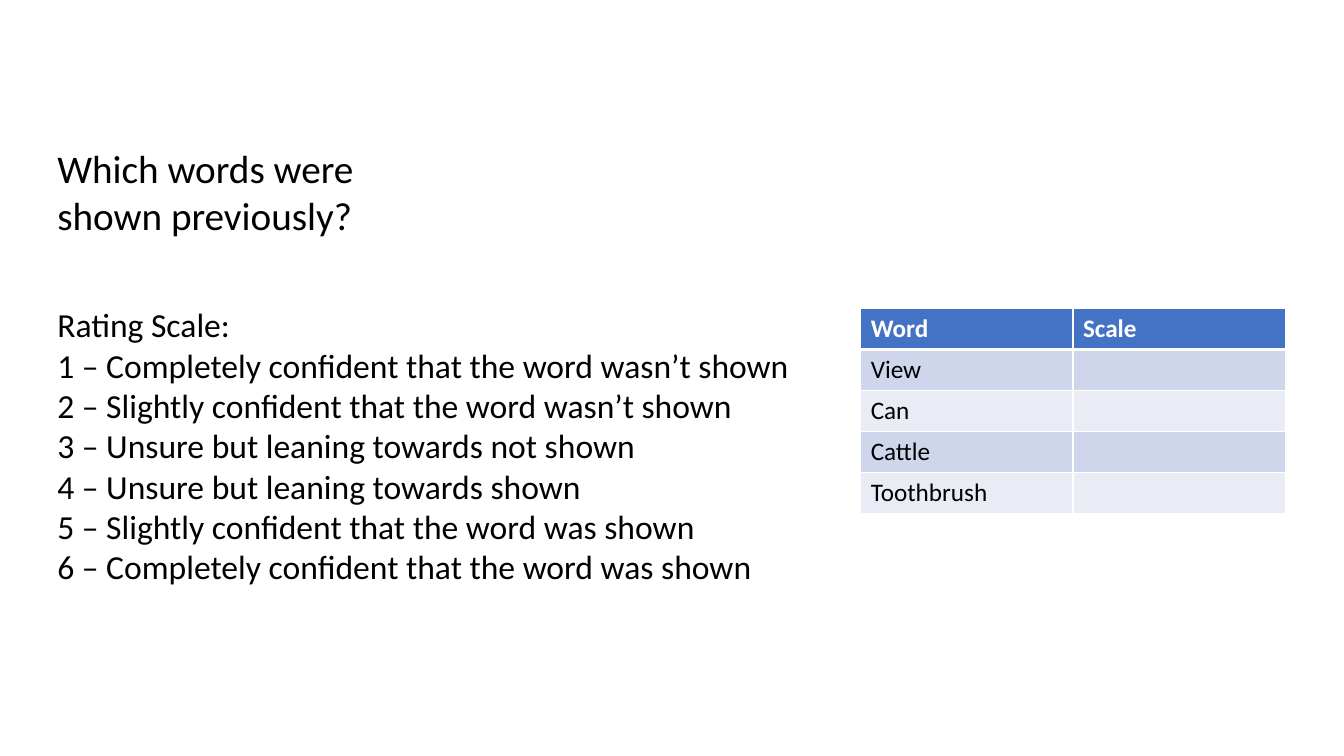
from lxml.etree import SubElement
from pptx import Presentation
from pptx.dml.color import RGBColor
from pptx.enum.text import MSO_ANCHOR, MSO_AUTO_SIZE, PP_ALIGN
from pptx.oxml import parse_xml
from pptx.oxml.ns import nsdecls, qn
from pptx.util import Cm, Pt

FONT = "Calibri"
BLACK, WHITE = "000000", "FFFFFF"
HEADER_FILL = "4472C4"
BAND_FILLS = ("CFD5EA", "E9EBF5")

QUESTION = ("Which words were", "shown previously?")
RATING_SCALE = (
    "Rating Scale:",
    "1 – Completely confident that the word wasn’t shown",
    "2 – Slightly confident that the word wasn’t shown",
    "3 – Unsure but leaning towards not shown",
    "4 – Unsure but leaning towards shown",
    "5 – Slightly confident that the word was shown",
    "6 – Completely confident that the word was shown",
)
WORD_ROWS = (("Word", "Scale"), ("View", ""), ("Can", ""), ("Cattle", ""), ("Toothbrush", ""))


def color(hex_value):
    return RGBColor.from_string(hex_value)


def style_font(font, size, hex_value, bold=False):
    font.name = FONT
    font.size = Pt(size)
    font.bold = bold
    font.color.rgb = color(hex_value)


def remove_bullet(paragraph):
    properties = paragraph._p.get_or_add_pPr()
    properties.set("marL", "0")
    properties.set("indent", "0")
    SubElement(properties, qn("a:buNone"))


def fill_text_placeholder(placeholder, box, lines, size, wrap):
    placeholder.left, placeholder.top, placeholder.width, placeholder.height = box
    frame = placeholder.text_frame
    frame.word_wrap = wrap
    frame.auto_size = MSO_AUTO_SIZE.NONE
    frame.vertical_anchor = MSO_ANCHOR.TOP
    for index, line in enumerate(lines):
        paragraph = frame.paragraphs[0] if index == 0 else frame.add_paragraph()
        paragraph.alignment = PP_ALIGN.LEFT
        paragraph.space_before = Pt(0)
        remove_bullet(paragraph)
        run = paragraph.add_run()
        run.text = line
        style_font(run.font, size, BLACK)


def set_cell_borders(cell, top, bottom):
    """Draw white borders; top and bottom are widths in points."""
    properties = cell._tc.get_or_add_tcPr()
    widths = {"lnL": 1, "lnR": 1, "lnT": top, "lnB": bottom}
    for position, (side, width) in enumerate(widths.items()):
        border = parse_xml(
            f'<a:{side} {nsdecls("a")} w="{Pt(width)}"><a:solidFill>'
            f'<a:srgbClr val="{WHITE}"/></a:solidFill></a:{side}>'
        )
        properties.insert(position, border)


def add_word_table(slide, box):
    table = slide.shapes.add_table(len(WORD_ROWS), len(WORD_ROWS[0]), *box).table
    for row_index, words in enumerate(WORD_ROWS):
        is_header = row_index == 0
        fill = HEADER_FILL if is_header else BAND_FILLS[(row_index - 1) % 2]
        for column_index, word in enumerate(words):
            cell = table.cell(row_index, column_index)
            cell.fill.solid()
            cell.fill.fore_color.rgb = color(fill)
            set_cell_borders(cell, 3 if row_index == 1 else 1, 3 if is_header else 1)
            paragraph = cell.text_frame.paragraphs[0]
            if word:
                run = paragraph.add_run()
                run.text = word
                style_font(run.font, 18, WHITE if is_header else BLACK, is_header)


def add_rating_slide(presentation):
    slide = presentation.slides.add_slide(presentation.slide_layouts[1])
    title, body = slide.shapes.title, slide.placeholders[1]
    left = Cm(1.19)
    fill_text_placeholder(title, (left, Cm(3.51), Cm(10.97), Cm(2.64)), QUESTION, 28, True)
    fill_text_placeholder(body, (left, Cm(7.54), Cm(19.3), Cm(7.44)), RATING_SCALE, 24, False)
    add_word_table(slide, (Cm(21.69), Cm(7.78), Cm(10.7), Cm(5.15)))


def main():
    presentation = Presentation()
    presentation.slide_width, presentation.slide_height = Cm(33.87), Cm(19.05)
    add_rating_slide(presentation)
    presentation.save("out.pptx")


if __name__ == "__main__":
    main()
